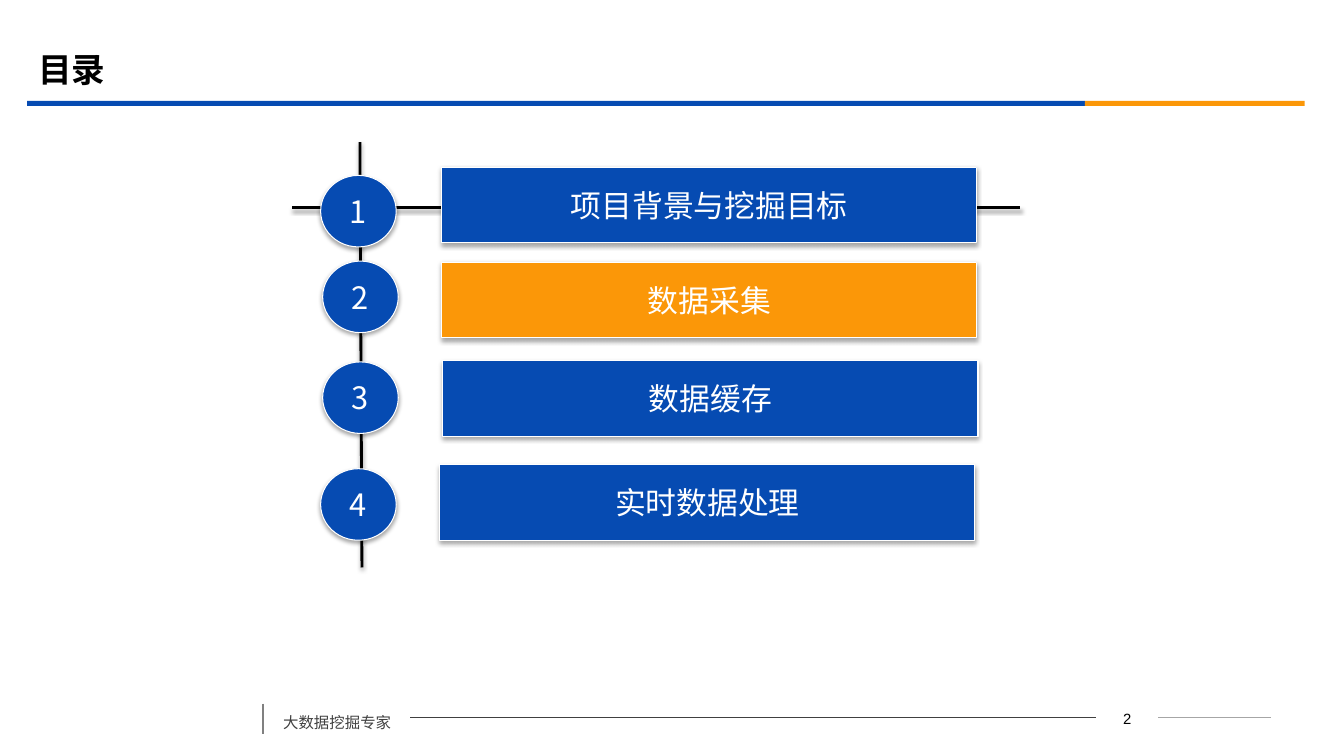
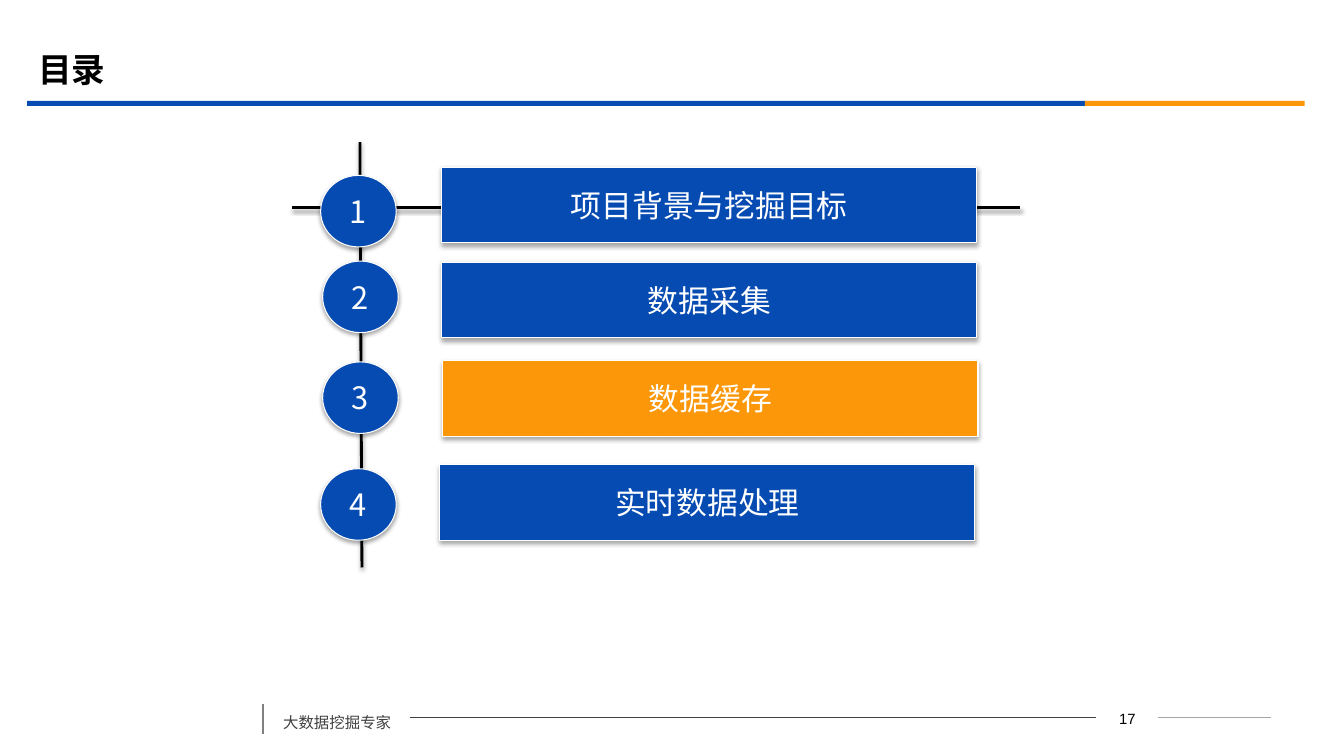
from lxml.etree import SubElement
from pptx import Presentation
from pptx.dml.color import RGBColor
from pptx.enum.shapes import MSO_CONNECTOR, MSO_SHAPE
from pptx.enum.text import MSO_ANCHOR, PP_ALIGN
from pptx.oxml.ns import qn
from pptx.util import Inches, Pt

HUES = {"blue": "064BB2", "gold": "FB9708", "white": "FFFFFF", "black": "000000",
        "dark": "404040", "gray": "808080", "pale": "A6A6A6"}
SANS = "Noto Sans CJK SC"
ITEMS = [("项目背景与挖掘目标", 1.48, 0.25, 0.28, 0.33),
         ("数据采集", 1.48, 1.19, 0.3, 1.18),
         ("数据缓存", 1.49, 2.17, 0.3, 2.18),
         ("实时数据处理", 1.46, 3.2, 0.28, 3.24)]
PAGES = [(2, 2), (17, 3)]


def hue(name):
    """Return the named colour."""
    return RGBColor.from_string(HUES[name])


def write(shape, text, size, color, bold=False, font=SANS, align=PP_ALIGN.LEFT):
    """Put one styled run into a shape."""
    para = shape.text_frame.paragraphs[0]
    para.alignment = align
    run = para.add_run()
    run.text = text
    run.font.size, run.font.bold, run.font.name = Pt(size), bold, font
    run.font.color.rgb = hue(color)
    SubElement(run._r.get_or_add_rPr(), qn("a:ea"), typeface=font)
    return para


def shade(props, dist, alpha):
    """Give shape properties a soft shadow that falls straight down."""
    list_ = props.find(qn("a:effectLst"))
    drop = SubElement(list_, qn("a:outerShdw"), blurRad=str(Pt(3.1)), dist=str(Pt(dist)),
                      dir="5400000", rotWithShape="0")
    tint = SubElement(drop, qn("a:srgbClr"), val=HUES["black"])
    SubElement(tint, qn("a:alpha"), val=str(alpha * 1000))


def rule(slide, x1, y1, x2, y2, color, width):
    """Draw a straight line without a shadow."""
    line = slide.shapes.add_connector(MSO_CONNECTOR.STRAIGHT, Inches(x1), Inches(y1),
                                      Inches(x2), Inches(y2))
    line.line.color.rgb = hue(color)
    line.line.width = Pt(width)
    SubElement(line._element.spPr, qn("a:effectLst"))
    return line


def block(slide, kind, x, y, w, h, color):
    """Draw a filled shape without outline or shadow."""
    shape = slide.shapes.add_shape(kind, Inches(x), Inches(y), Inches(w), Inches(h))
    shape.shadow.inherit = False
    shape.fill.solid()
    shape.fill.fore_color.rgb = hue(color)
    shape.line.fill.background()
    return shape


def label(slide, x, y, w, h):
    """Add an empty wrapping text box."""
    box = slide.shapes.add_textbox(Inches(x), Inches(y), Inches(w), Inches(h))
    box.text_frame.word_wrap = True
    return box


def badge(slide, kind, x, y, w, h, color, text):
    """Draw a shadowed shape with a white centred caption."""
    shape = block(slide, kind, x, y, w, h, color)
    shape.line.color.rgb = hue("white")
    shape.line.width = Pt(0.75)
    shade(shape._element.spPr, 1.8, 35)
    shape.text_frame.word_wrap = False
    shape.text_frame.vertical_anchor = MSO_ANCHOR.MIDDLE
    write(shape, text, 22, "white", align=PP_ALIGN.CENTER)


def header(slide, title, x, y):
    """Place the title and its two-colour band."""
    box = label(slide, x, y, 12, 0.58)
    box.text_frame.vertical_anchor = MSO_ANCHOR.MIDDLE
    write(box, title, 24, "black", bold=True)
    block(slide, MSO_SHAPE.RECTANGLE, x - 0.01, y + 0.61, 10.49, 0.05, "blue")
    block(slide, MSO_SHAPE.RECTANGLE, x + 10.48, y + 0.61, 2.18, 0.05, "gold")


def footer(slide, page, x, y):
    """Place the motto, page number and rules around a middle line y."""
    rule(slide, x, y - 0.14, x, y + 0.16, "gray", 1.25)
    motto = label(slide, x + 0.1, y - 0.19, 1.36, 0.38)
    write(motto, "大数据挖掘专家", 11, "dark").line_spacing = 1.5
    number = label(slide, x + 8.26, y - 0.13, 0.62, 0.26)
    write(number, str(page), 10.6, "black", font="Arial", align=PP_ALIGN.CENTER)
    long = rule(slide, x + 1.46, y, x + 8.26, y, "dark", 0.75)
    long.begin_connect(motto, 3)
    long.end_connect(number, 1)
    short = rule(slide, x + 8.88, y, x + 10, y, "pale", 0.75)
    short.begin_connect(number, 3)


def agenda(slide, active, x, y):
    """Place the crossed lines and numbered items, with one item active."""
    for ends in [(x + 0.67, y, x + 0.69, y + 4.22), (x, y + 0.65, x + 7.22, y + 0.65)]:
        line = rule(slide, *ends, "black", 2)
        shade(line._element.spPr, 1.6, 38)
    for num, (text, left, top, dot, rise) in enumerate(ITEMS, 1):
        color = "gold" if num == active else "blue"
        badge(slide, MSO_SHAPE.ACTION_BUTTON_CUSTOM, x + left, y + top, 5.31, 0.75, color, text)
        badge(slide, MSO_SHAPE.OVAL, x + dot, y + rise, 0.75, 0.71, "blue", str(num))


def main():
    """Build and save the deck."""
    deck = Presentation()
    deck.slide_width, deck.slide_height = Inches(13.33), Inches(7.5)
    for page, active in PAGES:
        slide = deck.slides.add_slide(deck.slide_layouts[6])
        header(slide, "目录", 0.28, 0.39)
        footer(slide, page, 2.61, 7.12)
        agenda(slide, active, 2.9, 1.41)
    deck.save("out.pptx")


if __name__ == "__main__":
    main()
